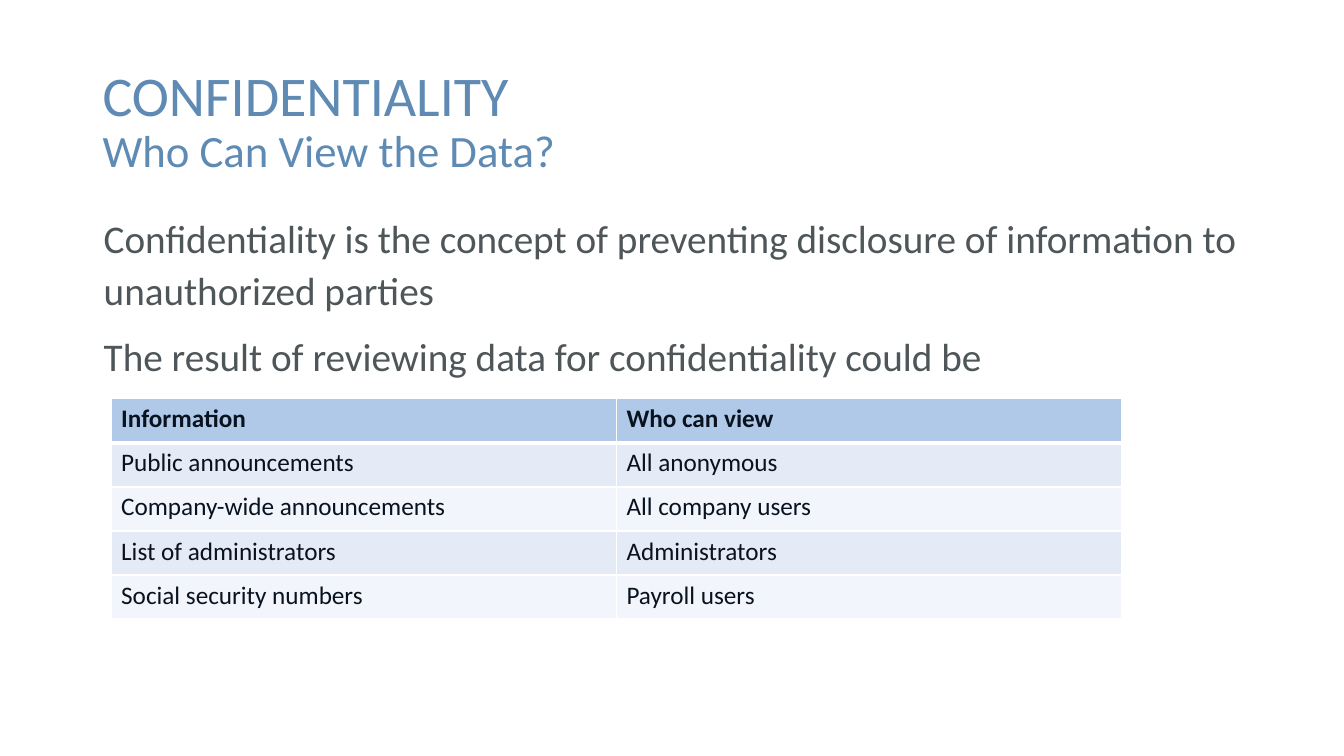
from lxml.etree import SubElement as Sub
from pptx import Presentation
from pptx.dml.color import RGBColor
from pptx.enum.text import MSO_ANCHOR as Anchor, MSO_AUTO_SIZE as Fit, PP_ALIGN as Align
from pptx.oxml.ns import qn
from pptx.util import Cm, Pt

# Content
TITLE = ("CONFIDENTIALITY", "Who Can View the Data?")
POINTS = (
    "Confidentiality is the concept of preventing disclosure of information to unauthorized parties",
    "The result of reviewing data for confidentiality could be",
)
ROWS = (
    ("Information", "Who can view"),
    ("Public announcements", "All anonymous"),
    ("Company-wide announcements", "All company users"),
    ("List of administrators", "Administrators"),
    ("Social security numbers", "Payroll users"),
)

# Style
FACE = "Calibri"
BLUE = RGBColor(0x5E, 0x8A, 0xB4)
GRAY = RGBColor(0x4E, 0x56, 0x59)
INK = RGBColor(0x09, 0x13, 0x20)
HEAD = RGBColor(0xB1, 0xC9, 0xE8)
BANDS = (RGBColor(0xF2, 0xF5, 0xFB), RGBColor(0xE4, 0xEB, 0xF6))
WHITE = RGBColor(0xFF, 0xFF, 0xFF)


def style(run, size, color, bold=False):
    font = run.font
    font.name, font.size, font.bold = FACE, Pt(size), bold
    font.color.rgb = color


def place(shape, left, top, width, height):
    shape.left, shape.top = Cm(left), Cm(top)
    shape.width, shape.height = Cm(width), Cm(height)


def edge(cell, side, width):
    props = cell._tc.get_or_add_tcPr()
    line = Sub(props, qn("a:ln" + side), w=str(Pt(width)))
    fill = Sub(line, qn("a:solidFill"))
    Sub(fill, qn("a:srgbClr"), val=str(WHITE))


deck = Presentation()
deck.slide_width, deck.slide_height = Cm(33.87), Cm(19.05)
slide = deck.slides.add_slide(deck.slide_layouts[1])
title, body = slide.placeholders

# Title
place(title, 2.33, 1.02, 29.21, 4.14)
frame = title.text_frame
frame.text = "\v".join(TITLE)
frame.auto_size = Fit.NONE
frame.vertical_anchor = Anchor.MIDDLE
para = frame.paragraphs[0]
para.alignment = Align.LEFT
para.line_spacing = 0.9
for run, size in zip(para.runs, (40, 32)):
    style(run, size, BLUE)

# Body text without bullets
place(body, 2.36, 5.16, 29.21, 12.4)
frame = body.text_frame
frame.text = "\n".join(POINTS)
frame.auto_size = Fit.NONE
for num, para in enumerate(frame.paragraphs):
    props = para._p.get_or_add_pPr()
    props.set("marL", "0")
    props.set("indent", "0")
    Sub(props, qn("a:buNone"))
    para.line_spacing = 1.1
    para.space_before = Pt(10 if num else 0)
    style(para.runs[0], 28, GRAY)

# Table with a heavier rule under its header
high = 1.11
grid = slide.shapes.add_table(
    len(ROWS), len(ROWS[0]), Cm(2.8), Cm(10.05), Cm(25.47), Cm(high * len(ROWS))
).table
for row, texts in enumerate(ROWS):
    for col, text in enumerate(texts):
        cell = grid.cell(row, col)
        cell.text = text
        for side in "LRTB":
            heavy = (row, side) in ((0, "B"), (1, "T"))
            edge(cell, side, 3 if heavy else 1)
        cell.fill.solid()
        cell.fill.fore_color.rgb = BANDS[row % 2] if row else HEAD
        style(cell.text_frame.paragraphs[0].runs[0], 18, INK, row == 0)

deck.save("out.pptx")
